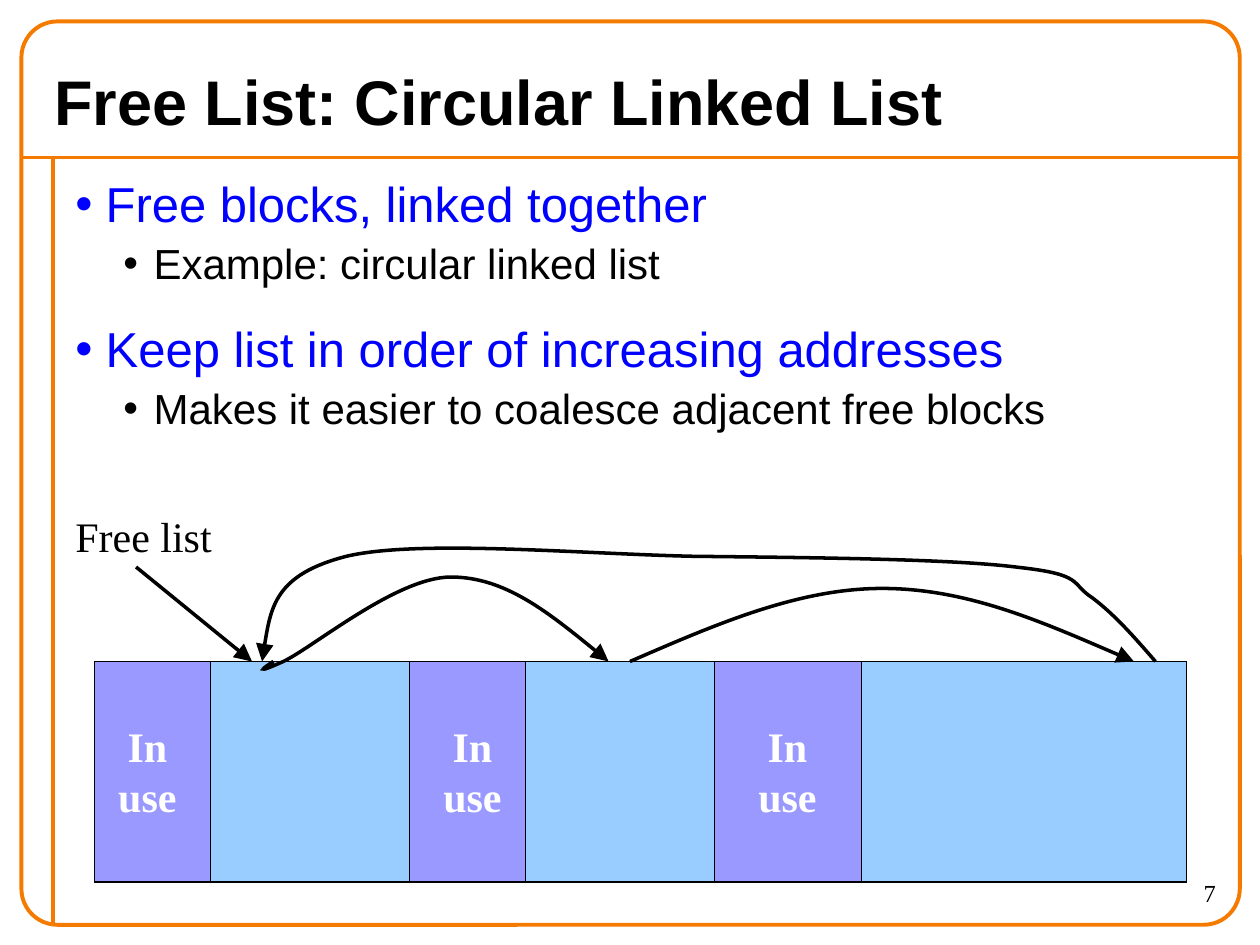
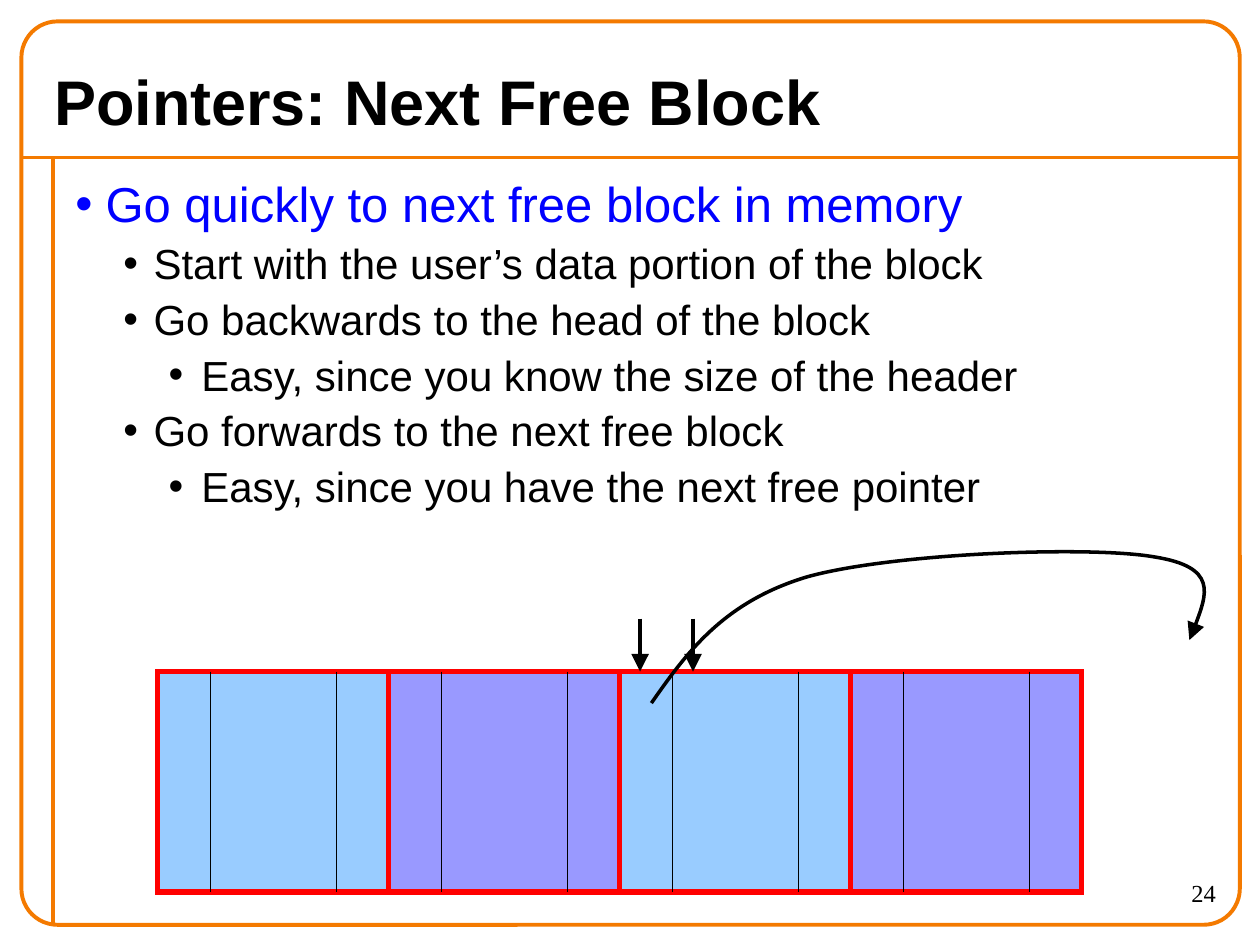
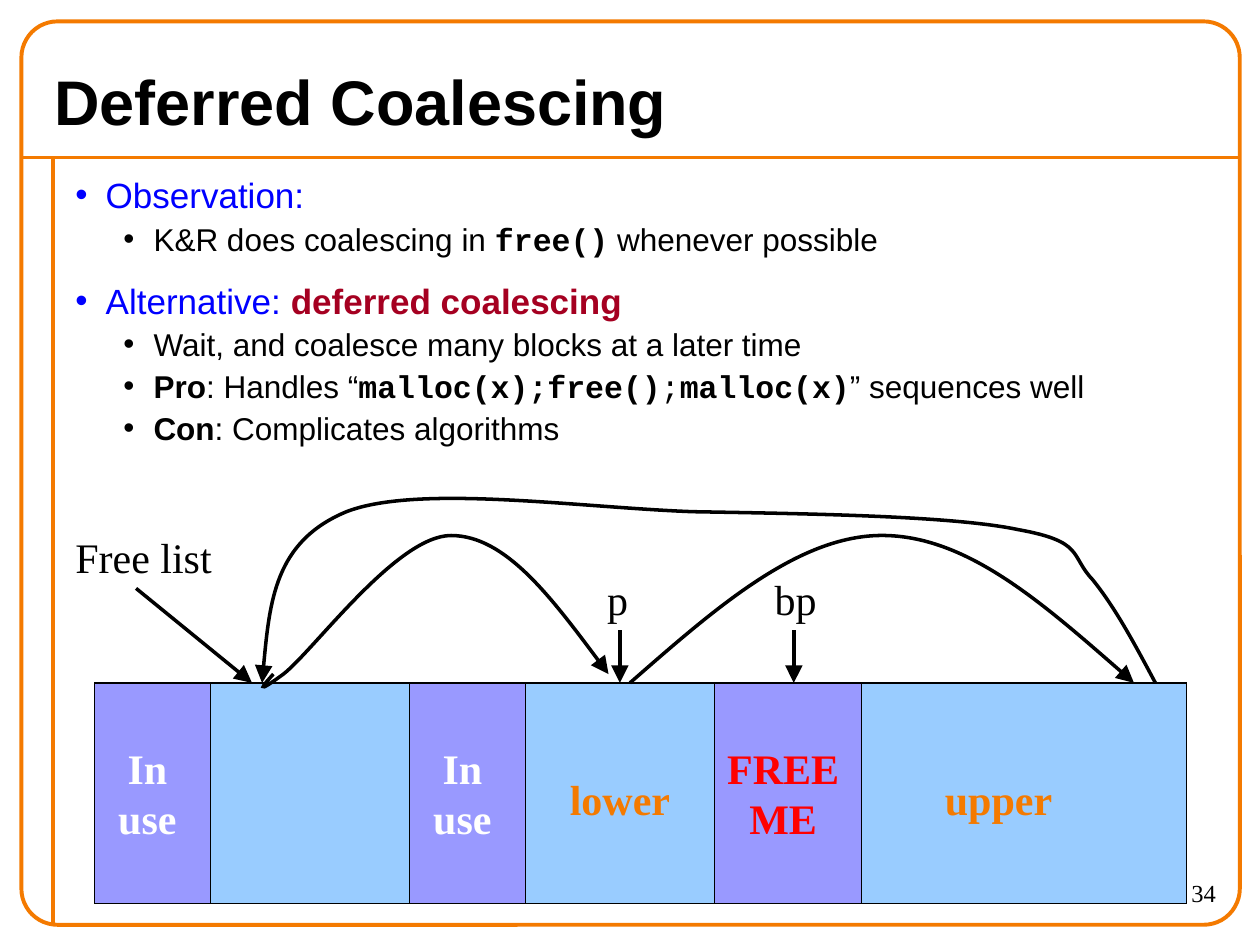
from lxml import etree
from pptx import Presentation
from pptx.dml.color import RGBColor
from pptx.enum import shapes, text
from pptx.oxml import ns
from pptx.util import Inches, Pt

COLORS = {
    "ink": "000000", "frame": "F47A00", "heading": "0000FF", "free": "99CCFF",
    "used": "9999FF", "white": "FFFFFF", "red": "FF0000", "term": "A50021",
}
SANS, SERIF, MONO = "Arial", "Times New Roman", "Courier New"
BLOCK_HEIGHT = 1.75

# Run styles: font name, bold, colour (None keeps the paragraph's)
CODE = (MONO, True, None)
CODE_PLAIN = (MONO, None, None)
STRONG = (None, True, None)
TERM = (None, True, "term")

# Bullet levels: left margin and hanging indent
INDENTS = [(0.24, -0.24), (0.62, -0.24), (1, -0.26)]

# Pointer curves: x in inches, height as a fraction of the curve's height
FIRST_ARC = [(2.17, 0), (2.09, -0.08), (2.01, -0.16), (2.25, 0), (2.49, 0.17),
             (3.15, 1), (3.58, 1), (4.01, 1), (4.42, 0.5), (4.83, 0)]
SECOND_ARC = [(5, 0), (5.67, 0.5), (6.33, 1), (7, 1), (7.67, 1), (8.33, 0.5), (9, 0)]
RETURN_ARC = [(9.17, 0), (9.01, 0.19), (8.85, 0.38), (8.67, 0.52), (8.49, 0.64),
              (8.61, 0.71), (8.08, 0.77), (7.56, 0.84), (6.39, 0.85), (5.5, 0.86),
              (4.61, 0.88), (3.32, 1), (2.75, 0.86), (2.18, 0.71), (2.13, 0.36),
              (2.08, 0)]


def color(name):
    return RGBColor.from_string(COLORS[name])


def child(parent, tag, **attributes):
    return etree.SubElement(parent, ns.qn(tag), **attributes)


def style_font(font, name, size, color_name, bold=False):
    font.name, font.size, font.bold = name, Pt(size), bold
    font.color.rgb = color(color_name)


def style_line(shape, color_name, width, arrow=False):
    shape.line.color.rgb = color(color_name)
    shape.line.width = Pt(width)
    outline = shape.line._get_or_add_ln()
    child(outline, "a:miter", lim="800000")
    if arrow:
        child(outline, "a:tailEnd", type="triangle", w="lg", len="lg")


def add_block(slide, left, top, width, height, fill, line, line_width,
              kind=shapes.MSO_SHAPE.RECTANGLE):
    block = slide.shapes.add_shape(kind, Inches(left), Inches(top),
                                   Inches(width), Inches(height))
    block.shadow.inherit = False
    if fill:
        block.fill.solid()
        block.fill.fore_color.rgb = color(fill)
    else:
        block.fill.background()
    style_line(block, line, line_width)
    return block


def add_line(slide, start, end, color_name="ink", width=2, arrow=False):
    line = slide.shapes.add_connector(shapes.MSO_CONNECTOR.STRAIGHT,
                                      *map(Inches, (*start, *end)))
    style_line(line, color_name, width, arrow)
    child(line.element.spPr, "a:effectLst")
    return line


def add_curve(slide, points):
    """Draw an arrow along cubic curves: a start, then triples of points."""
    (first, *rest) = [(Inches(x), Inches(y)) for x, y in points]
    builder = slide.shapes.build_freeform(*first)
    builder.add_line_segments(rest, close=False)
    curve = builder.convert_to_shape()
    curve.shadow.inherit = False
    curve.fill.background()
    style_line(curve, "ink", 2, arrow=True)
    segments = list(curve.element.iter(ns.qn("a:lnTo")))
    outline = segments[0].getparent()
    for index in range(0, len(segments), 3):
        cubic = child(outline, "a:cubicBezTo")
        for segment in segments[index:index + 3]:
            cubic.append(segment[0])
            outline.remove(segment)


def add_label(slide, left, top, width, lines, color_name="ink", bold=False,
              align=text.PP_ALIGN.LEFT, size=24, height=None):
    """Without a height, the box fits its text."""
    lines = lines.split("\n")
    box = slide.shapes.add_textbox(Inches(left), Inches(top), Inches(width),
                                   Inches(height or 0.1 + 0.4 * len(lines)))
    frame = box.text_frame
    frame.word_wrap = False
    if height is None:
        frame.auto_size = text.MSO_AUTO_SIZE.SHAPE_TO_FIT_TEXT
    for index, line in enumerate(lines):
        paragraph = frame.add_paragraph() if index else frame.paragraphs[0]
        paragraph.text, paragraph.alignment = line, align
        style_font(paragraph.font, SERIF, size, color_name, bold)


def add_frame(slide, layout):
    """Put the orange frame and rules on the shared layout."""
    frame = add_block(slide, 0.17, 0.17, 9.67, 7.17, None, "frame", 2.25,
                      shapes.MSO_SHAPE.ROUNDED_RECTANGLE)
    frame.adjustments[0] = 0.04
    rules = [add_line(slide, (0.17, 1.25), (9.83, 1.25), "frame", 2.25),
             add_line(slide, (0.42, 1.25), (0.42, 7.33), "frame", 2.25)]
    for part in (*rules, frame):
        layout.element.cSld.spTree.append(part.element)


def add_slide(presentation, title, number):
    slide = presentation.slides.add_slide(presentation.slide_layouts[5])
    shape = slide.shapes.title
    shape.left, shape.top, shape.width, shape.height = map(Inches, (0.33, 0.42, 9.33, 0.75))
    frame = shape.text_frame
    frame.text = title
    frame.auto_size = text.MSO_AUTO_SIZE.NONE
    frame.vertical_anchor = text.MSO_ANCHOR.MIDDLE
    frame.paragraphs[0].alignment = text.PP_ALIGN.LEFT
    style_font(frame.paragraphs[0].font, SANS, 36, "ink", True)
    add_label(slide, 8.75, 6.92, 1, str(number), size=14, height=0.42,
              align=text.PP_ALIGN.RIGHT)
    return slide


def add_bullets(slide, items, sizes=(28, 24), gaps=(17.5, 3), height=6):
    """Each item is (level, runs); a run is plain text or (text, style)."""
    box = slide.shapes.add_textbox(Inches(0.5), Inches(1.33), Inches(9.25), Inches(height))
    frame = box.text_frame
    frame.word_wrap = True
    for index, (level, *runs) in enumerate(items):
        paragraph = frame.add_paragraph() if index else frame.paragraphs[0]
        paragraph.level = level
        kind = min(level, 1)
        color_name = ("heading", "ink")[kind]
        # Bullet and hanging indent
        properties = paragraph._p.get_or_add_pPr()
        margin, indent = INDENTS[level]
        properties.set("marL", str(Inches(margin)))
        properties.set("indent", str(Inches(indent)))
        child(child(properties, "a:buClr"), "a:srgbClr", val=COLORS[color_name])
        child(properties, "a:buFont", typeface=SANS)
        child(properties, "a:buChar", char="•")
        if index:
            paragraph.space_before = Pt(gaps[kind])
        style_font(paragraph.font, SANS, sizes[kind], color_name)
        for item in runs:
            words, style = (item, None) if isinstance(item, str) else item
            run = paragraph.add_run()
            run.text = words
            if style:
                name, bold, run_color = style
                run.font.name, run.font.bold = name, bold
                if run_color:
                    run.font.color.rgb = color(run_color)


def add_heap(slide, left, top, labels):
    """Row of used and free blocks; labels are (x, y, width, text, colour)."""
    add_block(slide, left, top, 8.67, BLOCK_HEIGHT, "free", "ink", 0.75)
    for offset, width, fill in [(0, 0.92, "used"), (2.5, 0.92, "used"),
                                (3.42, 1.5, "free"), (4.92, 1.17, "used")]:
        add_block(slide, left + offset, top, width, BLOCK_HEIGHT, fill, "ink", 0.75)
    for x, y, width, words, color_name in labels:
        add_label(slide, left + x, top + y, width, words, color_name, True,
                  text.PP_ALIGN.CENTER)


def add_free_list(slide, top, heights, first_lift=0):
    """List head and the three links, above blocks that start at top."""
    add_line(slide, (1.08, top - 0.75), (2, top), arrow=True)
    add_label(slide, 0.5, top - 1.25, 1.28, "Free list")
    bases = (top - first_lift, top, top)
    for arc, base, height in zip((FIRST_ARC, SECOND_ARC, RETURN_ARC), bases, heights):
        add_curve(slide, [(x, base - rise * height) for x, rise in arc])


def add_pointer(slide, x, top, label_left, label_width, name):
    add_line(slide, (x, top - 0.42), (x, top), arrow=True)
    add_label(slide, label_left, top - 0.92, label_width, name)


def add_tagged_blocks(slide, left, top, count=4, width=5.5 / 3):
    """Equal blocks, each with a header and a footer marked off."""
    for index in range(count):
        add_block(slide, left + index * width, top, width, BLOCK_HEIGHT,
                  ("free", "used")[index % 2], "red", 3)
    for index in range(count):
        for offset in (0.42, 1.42):
            x = left + index * width + offset
            add_line(slide, (x, top), (x, top + BLOCK_HEIGHT), width=0.75)


def circular_list_slide(presentation):
    slide = add_slide(presentation, "Free List: Circular Linked List", 7)
    add_frame(slide, slide.slide_layout)
    add_bullets(slide, [
        (0, "Free blocks, linked together"),
        (1, "Example: circular linked list"),
        (0, "Keep list in order of increasing addresses"),
        (1, "Makes it easier to coalesce adjacent free blocks"),
    ])
    top = 5.25
    add_heap(slide, 0.75, top, [(x, 0.42, 0.66, "In\nuse", "white")
                                for x in (0.09, 2.67, 5.17)])
    add_free_list(slide, top, (0.67, 0.58, 0.97))


def next_block_slide(presentation):
    slide = add_slide(presentation, "Pointers: Next Free Block", 24)
    add_bullets(slide, [
        (0, "Go quickly to next free block in memory"),
        (1, "Start with the user’s data portion of the block"),
        (1, "Go backwards to the head of the block"),
        (2, "Easy, since you know the size of the header"),
        (1, "Go forwards to the next free block"),
        (2, "Easy, since you have the next free pointer"),
    ], height=3.17)
    top = 5.33
    add_tagged_blocks(slide, 1.25, top)
    for x in (5.5, 5.08):
        add_line(slide, (x, top - 0.42), (x, top), arrow=True)
    add_curve(slide, [(5.17, 5.58), (5.45, 5.18), (5.74, 4.78), (6.4, 4.58), (7.07, 4.39),
                      (8.65, 4.33), (9.16, 4.42), (9.67, 4.5), (9.56, 4.79), (9.44, 5.08)])


def deferred_slide(presentation):
    slide = add_slide(presentation, "Deferred Coalescing", 34)
    add_bullets(slide, [
        (0, "Observation:"),
        (1, "K&R does coalescing in ", ("free()", CODE), " whenever possible"),
        (0, "Alternative: ", ("deferred coalescing", TERM)),
        (1, "Wait, and coalesce many blocks at a later time"),
        (1, ("Pro", STRONG), ": Handles “", ("malloc(x);free()", CODE), (";", CODE_PLAIN),
         ("malloc(x)", CODE), "” sequences well"),
        (1, ("Con", STRONG), ": Complicates algorithms"),
    ], sizes=(20, 18), gaps=(12.5, 2.2))
    top = 5.42
    add_heap(slide, 0.75, top, [
        (0.09, 0.42, 0.66, "In\nuse", "white"),
        (2.59, 0.42, 0.66, "In\nuse", "white"),
        (4.92, 0.42, 1.09, "FREE\nME", "red"),
        (3.66, 0.67, 1.02, "lower", "frame"),
        (6.65, 0.67, 1.05, "upper", "frame"),
    ])
    add_free_list(slide, top, (1.1, 1.17, 1.58), first_lift=0.07)
    add_pointer(slide, 6.3, top, 6.05, 0.53, "bp")
    add_pointer(slide, 4.92, top, 4.72, 0.36, "p")


def main():
    presentation = Presentation()
    presentation.slide_width, presentation.slide_height = Inches(10), Inches(7.5)
    circular_list_slide(presentation)
    next_block_slide(presentation)
    deferred_slide(presentation)
    presentation.save("out.pptx")


if __name__ == "__main__":
    main()
